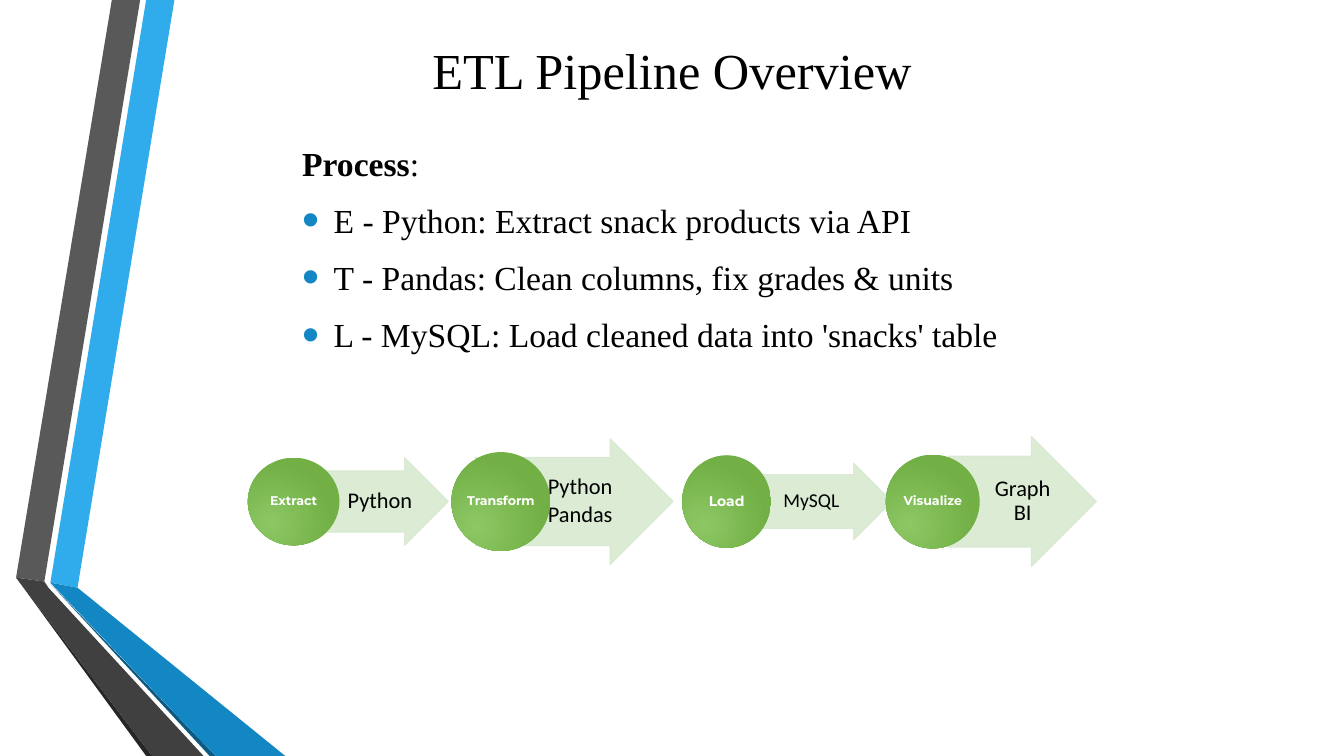
from lxml.etree import SubElement
from pptx import Presentation
from pptx.dml.color import RGBColor
from pptx.enum.shapes import MSO_SHAPE as Shape
from pptx.enum.text import MSO_ANCHOR as Anchor, PP_ALIGN as Align
from pptx.oxml.ns import qn
from pptx.util import Pt

BLACK = RGBColor(0, 0, 0)
WHITE = RGBColor(0xFF, 0xFF, 0xFF)
SKY = RGBColor(0x30, 0xAC, 0xEC)
BLUE = RGBColor(0x12, 0x87, 0xC3)
NAVY = RGBColor(0x0C, 0x5A, 0x82)
GREY = RGBColor(0x59, 0x59, 0x59)
CHARCOAL = RGBColor(0x40, 0x40, 0x40)
SOOT = RGBColor(0x26, 0x26, 0x26)
PALE_GREEN = RGBColor(0xD8, 0xE9, 0xD0)
LIGHT_GREEN = RGBColor(0x8C, 0xC7, 0x64)
GREEN = RGBColor(0x72, 0xAF, 0x45)

SERIF, SANS, DISPLAY = "Times New Roman", "Calibri", "Montserrat"

# Ribbon outlines, from back to front
RIBBONS = [
    (SKY, [(36, 416.2), (55.4, 419.8), (124.6, 0), (104.4, 0)]),
    (GREY, [(100.1, 0), (79.9, 0), (11.5, 412.6), (31.7, 415.4)]),
    (SOOT, [(11.5, 412.6), (104.4, 540), (108.7, 540)]),
    (NAVY, [(36, 416.9), (149.8, 540), (154.1, 540)]),
    (BLUE, [(36, 416.2), (154.1, 540), (203.8, 540), (55.4, 419.8)]),
    (CHARCOAL, [(145.4, 540), (34.6, 419.8), (31.7, 415.4), (11.5, 412.6), (108.7, 540)]),
]

PROCESS = [
    "E - Python: Extract snack products via API",
    "T - Pandas: Clean columns, fix grades & units",
    "L - MySQL: Load cleaned data into 'snacks' table",
]

# Stage, its size, circle (x, w, h), tools, their size, arrow (x, w, h), tools width
STAGES = [
    ("Extract", 9, (0, 65.5, 62.6), ["Python"], 16, (39.6, 103.7, 62.6), 56.2),
    ("Transform", 9, (145.5, 70.6, 70.6), ["Python", "Pandas"], 16, (162.7, 141.1, 90), 74.9),
    ("Load", 10, (310.3, 63.4, 66.2), ["MySQL"], 14, (330.5, 129.6, 54.7), 77.8),
    ("Visualize", 9, (455.8, 67, 67), ["Graph BI"], 16, (500.4, 105.8, 92.9), 51.8),
]


def write(frame, paragraphs, size=24, font=SERIF, color=BLACK, bold=False, align=Align.LEFT,
          insets=(7.2, 3.6, 7.2, 3.6), before=0, after=0, spacing=1.0, indent=0):
    """Fill a text frame; a paragraph is a string or a list of (text, bold) runs."""
    frame.word_wrap = True
    frame.vertical_anchor = Anchor.MIDDLE
    (frame.margin_left, frame.margin_top,
     frame.margin_right, frame.margin_bottom) = map(Pt, insets)
    for number, content in enumerate(paragraphs):
        paragraph = frame.add_paragraph() if number else frame.paragraphs[0]
        paragraph.alignment = align
        paragraph.line_spacing = spacing
        paragraph.space_before = Pt(before if number else 0)
        paragraph.space_after = Pt(after)
        if indent:
            paragraph._p.get_or_add_pPr().set("marL", str(Pt(indent)))
        runs = [(content, bold)] if isinstance(content, str) else content
        for words, heavy in runs:
            run = paragraph.add_run()
            run.text = words
            run.font.size = Pt(size)
            run.font.name = font
            run.font.bold = heavy
            run.font.color.rgb = color


def add_text(slide, box, paragraphs, **style):
    frame = slide.shapes.add_textbox(*map(Pt, box)).text_frame
    write(frame, paragraphs, **style)
    return frame


def add_bullet(paragraph, hang=22.5):
    props = paragraph._p.get_or_add_pPr()
    props.set("marL", str(Pt(hang)))
    props.set("indent", str(-Pt(hang)))
    SubElement(SubElement(props, qn("a:buClr")), qn("a:srgbClr"), val=str(BLUE))
    SubElement(props, qn("a:buSzPct"), val="145000")
    SubElement(props, qn("a:buFont"), typeface="Arial")
    SubElement(props, qn("a:buChar"), char="•")


def draw_ribbons(slide, left, top):
    for color, outline in RIBBONS:
        points = [(Pt(left + x), Pt(top + y)) for x, y in outline]
        builder = slide.shapes.build_freeform(*points[0])
        builder.add_line_segments(points[1:], close=True)
        ribbon = builder.convert_to_shape()
        ribbon.shadow.inherit = False
        ribbon.fill.solid()
        ribbon.fill.fore_color.rgb = color
        ribbon.line.fill.background()


def draw_process(slide, box):
    heading = [("Process", True), (":", False)]
    frame = add_text(slide, box, [heading, *PROCESS], before=6, after=6)
    for step in frame.paragraphs[1:]:
        add_bullet(step)


def draw_arrow(slide, box):
    arrow = slide.shapes.add_shape(Shape.RIGHT_ARROW, *map(Pt, box))
    arrow.shadow.inherit = False
    arrow.adjustments[0], arrow.adjustments[1] = 0.7, 0.5
    arrow.line.width = Pt(0.75)
    for paint in (arrow.fill, arrow.line.fill):
        paint.solid()
        paint.fore_color.rgb = PALE_GREEN
    # Make fill and line slightly transparent
    for tint in arrow._element.spPr.iter(qn("a:srgbClr")):
        SubElement(tint, qn("a:alpha"), val="90000")


def draw_circle(slide, box, stage, size):
    circle = slide.shapes.add_shape(Shape.OVAL, *map(Pt, box))
    circle.shadow.inherit = False
    circle.line.fill.background()
    circle.fill.gradient()
    for stop, color in zip(circle.fill.gradient_stops, (LIGHT_GREEN, GREEN)):
        stop.color.rgb = color
    # Radial gradient, brightest at the lower left
    gradient = circle._element.spPr.find(qn("a:gradFill"))
    gradient.remove(gradient.find(qn("a:lin")))
    radial = SubElement(gradient, qn("a:path"), path="circle")
    SubElement(radial, qn("a:fillToRect"), l="50000", t="100000", r="100000", b="50000")
    write(circle.text_frame, [stage], size=size, font=DISPLAY, color=WHITE, bold=True,
          align=Align.CENTER, insets=(0.7,) * 4, spacing=0.9)


def draw_pipeline(slide, left, top, height):
    def centred(x, w, h):
        return left + x, top + (height - h) / 2, w, h

    for stage, stage_size, circle, tools, tool_size, arrow, tools_width in STAGES:
        draw_arrow(slide, centred(*arrow))
        # Tools start a quarter along the arrow and fill its shaft
        x, w, h = arrow
        several = len(tools) > 1
        add_text(slide, centred(x + w / 4, tools_width, 0.7 * h), tools,
                 size=tool_size, font=SANS, insets=(2.9, 0.7, 1.4, 0.7), spacing=0.9,
                 align=Align.LEFT if several else Align.CENTER,
                 after=2.4 if several else 0, indent=13.5 if several else 0)
        draw_circle(slide, centred(*circle), stage, stage_size)


def main():
    deck = Presentation()
    deck.slide_width, deck.slide_height = Pt(960), Pt(540)
    slide = deck.slides.add_slide(deck.slide_layouts[6])
    draw_ribbons(slide, 0, 0)
    add_text(slide, (285, 7.2, 390.3, 85), ["ETL Pipeline Overview"],
             size=36, align=Align.CENTER)
    draw_process(slide, (208.8, 92.2, 542.2, 170.6))
    draw_pipeline(slide, 177, 311.8, 92.9)
    deck.save("out.pptx")


if __name__ == "__main__":
    main()
